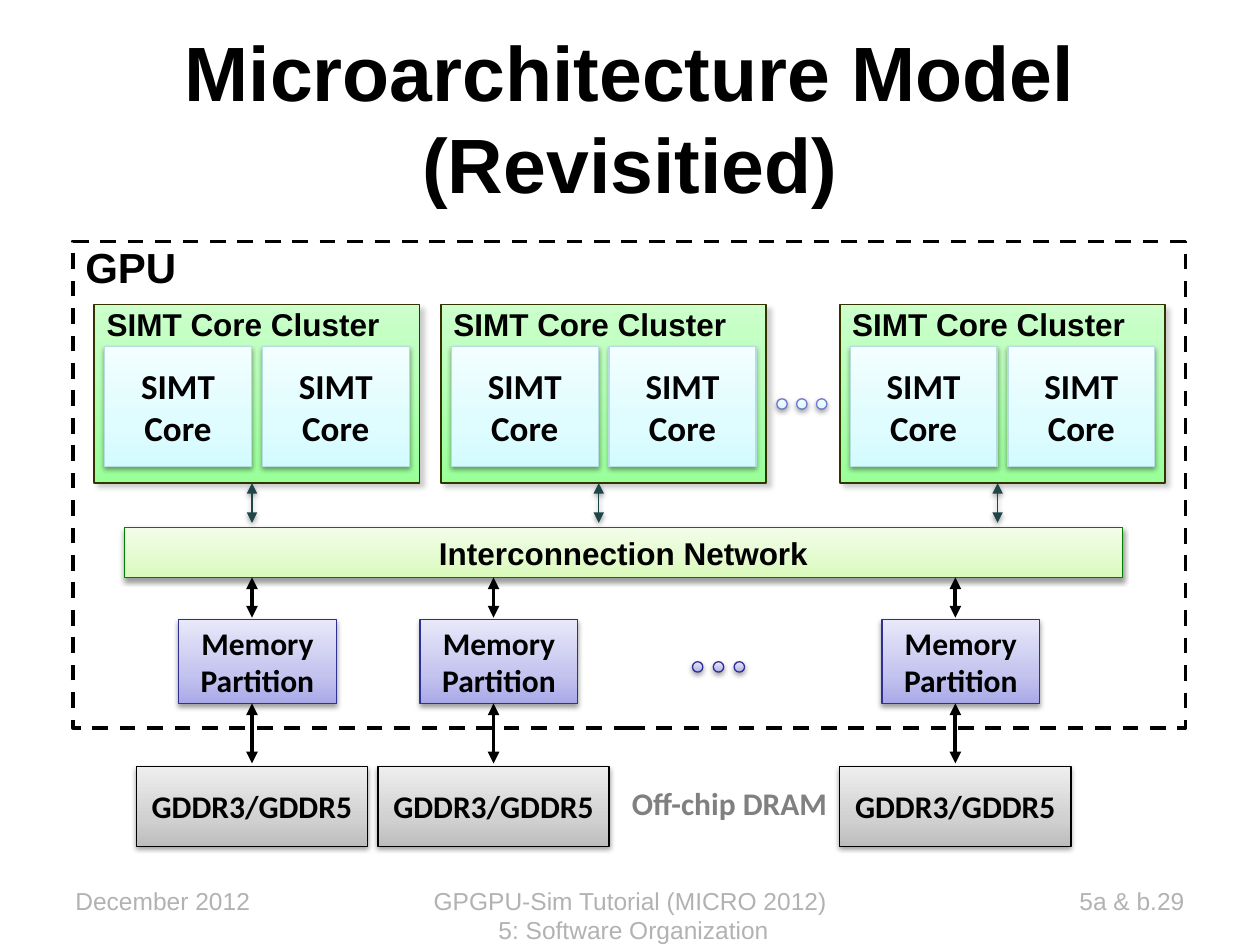
from lxml import etree
from pptx import Presentation
from pptx import util as u
from pptx.dml import color
from pptx.enum import dml, shapes, text
from pptx.oxml import ns


class Theme:
    black, muted, caption = "000000", "B2B2B2", "808080"
    sans, label = "Arial", "Calibri"
    title, heading, core, body, footer = 44, 24, 20, 18, 14
    cluster_fill = [(0, "99FF99"), (100, "CCFFCC")]
    core_fill = [(0, "D3FBFF"), (35, "DFFCFF"), (100, "F2FEFF")]
    network_fill = [(0, "DAFABB"), (50, "E7FBD4"), (100, "F3FDE9")]
    memory_fill = [(0, "A9A9E9"), (35, "C4C4EF"), (100, "E8E8FA")]
    dram_fill = [(0, "BDBDBD"), (35, "D1D1D1"), (100, "EEEEEE")]
    cluster_edge, core_edge, core_dot_edge = "333300", "B6DCDF", "7575D1"
    network_edge, memory_edge, core_arrow = "008000", "2F2F98", "1E4649"
    soft_shadow = dict(alpha=38, blur=3.1, dist=1.6, angle=90)
    corner_shadow = dict(alpha=20, blur=3, dist=3, angle=45)


LEFT, CENTER, RIGHT = text.PP_ALIGN.LEFT, text.PP_ALIGN.CENTER, text.PP_ALIGN.RIGHT
TOP, MIDDLE = text.MSO_ANCHOR.TOP, text.MSO_ANCHOR.MIDDLE


def apply(target, values):
    for name, value in values.items():
        setattr(target, name, value)


def child(parent, tag, **attributes):
    return etree.SubElement(parent, ns.qn(tag), {k: str(v) for k, v in attributes.items()})


class Diagram:
    def __init__(self, slide, theme):
        self.slide, self.theme = slide, theme

    def put_text(self, holder, words, size, font, ink=None, bold=True, align=CENTER,
                 anchor=MIDDLE, wrap=False, top_inset=0.13):
        frame = holder.text_frame
        apply(frame, dict(text=words, word_wrap=wrap, vertical_anchor=anchor,
                          margin_left=u.Cm(0.25), margin_right=u.Cm(0.25),
                          margin_top=u.Cm(top_inset), margin_bottom=u.Cm(0.13)))
        for paragraph in frame.paragraphs:
            paragraph.alignment = align
            apply(paragraph.font, dict(size=u.Pt(size), name=font, bold=bold))
            paragraph.font.color.rgb = color.RGBColor.from_string(ink or self.theme.black)

    def label(self, box, words, size, font, **style):
        holder = self.slide.shapes.add_textbox(*map(u.Cm, box))
        self.put_text(holder, words, size, font, **style)

    def outline(self, item, ink, width):
        item.line.color.rgb = color.RGBColor.from_string(ink)
        item.line.width = u.Pt(width)

    def cast_shadow(self, effects, alpha, blur, dist, angle):
        shadow = child(effects, "a:outerShdw", blurRad=u.Pt(blur), dist=u.Pt(dist),
                       dir=angle * 60000, rotWithShape=0)
        tone = child(shadow, "a:srgbClr", val=self.theme.black)
        child(tone, "a:alpha", val=alpha * 1000)

    def block(self, box, stops, edge, width=0.75, shadow=None, kind=shapes.MSO_SHAPE.RECTANGLE):
        item = self.slide.shapes.add_shape(kind, *map(u.Cm, box))
        item.shadow.inherit = False
        self.outline(item, edge, width)
        if not stops:
            item.fill.background()
            return item
        item.fill.gradient()
        item.fill.gradient_angle = 90
        properties = item.element.spPr
        stop_list = properties.find(".//" + ns.qn("a:gsLst"))
        for old in list(stop_list):
            stop_list.remove(old)
        for position, tone in stops:
            child(child(stop_list, "a:gs", pos=position * 1000), "a:srgbClr", val=tone)
        effects = properties.find(ns.qn("a:effectLst"))
        self.cast_shadow(effects, **(shadow or self.theme.soft_shadow))
        return item

    def dots(self, left, top, step, stops, edge):
        for i in range(3):
            self.block((left + i * step, top, 0.21, 0.21), stops, edge,
                       kind=shapes.MSO_SHAPE.OVAL)

    def arrow(self, x, top, bottom, ink, width, shadow=None):
        link = self.slide.shapes.add_connector(
            shapes.MSO_CONNECTOR.STRAIGHT, *map(u.Cm, (x, top, x, bottom)))
        self.outline(link, ink, width)
        properties = link.element.spPr
        line = properties.find(ns.qn("a:ln"))
        for end in ("a:headEnd", "a:tailEnd"):
            child(line, end, type="triangle")
        effects = child(properties, "a:effectLst")
        if shadow:
            self.cast_shadow(effects, **shadow)

    def cluster(self, left):
        t = self.theme
        body = self.block((left, 6.14, 6.56, 3.6), t.cluster_fill, t.cluster_edge, 1,
                          t.corner_shadow)
        self.put_text(body, "SIMT Core Cluster", t.body, t.sans, align=LEFT, anchor=TOP,
                      top_inset=0)
        for offset in (0.21, 3.39):
            core = self.block((left + offset, 6.99, 2.96, 2.41), t.core_fill, t.core_edge)
            self.put_text(core, "SIMT\nCore", t.core, t.label)
        self.arrow(left + 3.18, 9.74, 10.54, t.core_arrow, 0.75, t.soft_shadow)

    def memory_channel(self, left):
        t = self.theme
        partition = self.block((left + 0.85, 12.49, 3.18, 1.69), t.memory_fill, t.memory_edge)
        self.put_text(partition, "Memory\nPartition", t.body, t.label)
        dram = self.block((left, 15.45, 4.66, 1.61), t.dram_fill, t.black)
        self.put_text(dram, "GDDR3/GDDR5", t.body, t.label)
        for top, bottom in ((14.18, 15.39), (11.64, 12.45)):
            self.arrow(left + 2.33, top, bottom, t.black, 2.25)


def main():
    deck = Presentation()
    apply(deck, dict(slide_width=u.Cm(25.4), slide_height=u.Cm(19.05)))
    t = Theme()
    diagram = Diagram(deck.slides.add_slide(deck.slide_layouts[6]), t)

    diagram.label((1.27, 0.76, 22.86, 3.18), "Microarchitecture Model (Revisitied)",
                  t.title, t.sans, wrap=True)

    gpu = diagram.block((1.47, 4.87, 22.43, 9.8), None, t.black, 2.25)
    gpu.line.dash_style = dml.MSO_LINE.DASH
    diagram.put_text(gpu, "GPU", t.heading, t.sans, align=LEFT, anchor=TOP, top_inset=0)

    network = diagram.block((2.51, 10.64, 20.12, 1), t.network_fill, t.network_edge)
    diagram.put_text(network, "Interconnection Network", t.body, t.sans)

    for left in (1.9, 8.89, 16.93):
        diagram.cluster(left)
    diagram.dots(15.66, 8.04, 0.4, t.core_fill, t.core_dot_edge)

    for left in (2.75, 7.62, 16.93):
        diagram.memory_channel(left)
    diagram.dots(13.96, 13.34, 0.42, t.memory_fill, t.memory_edge)
    diagram.label((12.49, 15.67, 4.5, 1.02), "Off-chip DRAM", t.body, t.label,
                  ink=t.caption, align=LEFT, anchor=TOP)

    footers = (
        (1.27, 5.93, "December 2012", LEFT),
        (8.47, 8.47, "GPGPU-Sim Tutorial (MICRO 2012)\v 5: Software Organization", CENTER),
        (18.2, 5.93, "5a & b.29", RIGHT),
    )
    for left, width, words, align in footers:
        diagram.label((left, 17.73, width, 1.32), words, t.footer, t.sans, ink=t.muted,
                      bold=False, align=align, anchor=TOP, wrap=True)

    deck.save("out.pptx")


if __name__ == "__main__":
    main()
